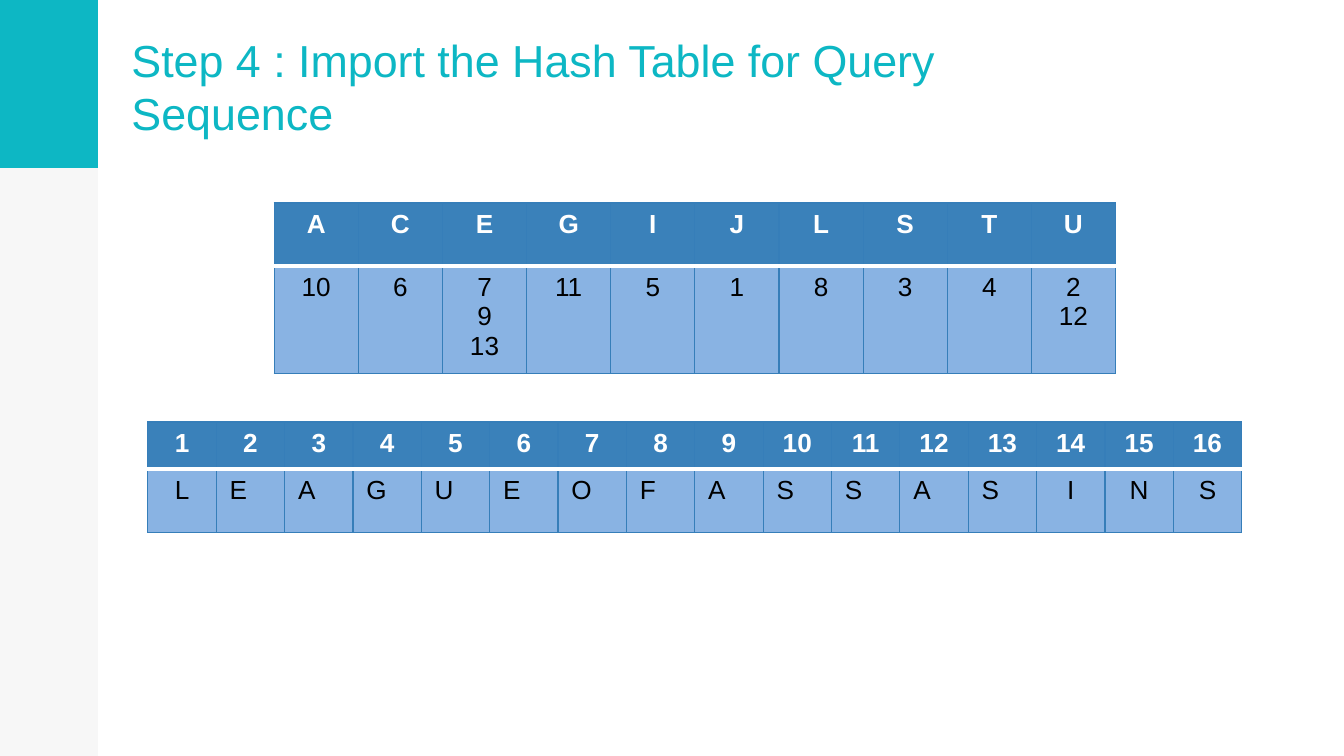
from pptx import Presentation, util as u
from pptx.dml.color import RGBColor
from pptx.enum import shapes, text
from pptx.oxml import ns
from lxml import etree

# Content
W = 10
H = W * 9 / 16
TITLE = "Step 4 : Import the Hash Table for Query Sequence"
TEAL, BLUE, PALE, EDGE = "0DB7C4", "3A81BA", "89B3E3", "367EB9"
WHITE, BLACK = "FFFFFF", "000000"
TABLES = [
    dict(at=(1.1, 3.14), width=8.14, rows=(0.35, 0.47),
         head=[str(n) for n in range(1, 17)], body=list("LEAGUEOFASSASINS"),
         left=range(1, 13)),  # columns whose body text is left aligned
    dict(at=(2.04, 1.51), width=6.26, rows=(0.47, 0.8),
         head=list("ACEGIJLSTU"),
         body=["10", "6", "7\n9\n13", "11", "5", "1", "8", "3", "4", "2\n12"],
         left=()),
]


def rgb(color):
    return RGBColor.from_string(color)


def write(tf, words, size=14, color=BLACK, bold=False, align="LEFT"):
    for i, line in enumerate(words.split("\n")):
        p = tf.paragraphs[0] if i == 0 else tf.add_paragraph()
        p.alignment = getattr(text.PP_ALIGN, align)
        r = p.add_run()
        r.text = line
        r.font.name, r.font.size, r.font.bold = "Arial", u.Pt(size), bold
        r.font.color.rgb = rgb(color)


def side_bar(height, color, alpha=None):
    sp = s.shapes.add_shape(shapes.MSO_SHAPE.RECTANGLE, 0, 0, u.Inches(0.73), u.Inches(height))
    sp.shadow.inherit = False
    sp.line.fill.background()
    sp.fill.solid()
    sp.fill.fore_color.rgb = rgb(color)
    if alpha:
        clr = sp._element.spPr.find(".//" + ns.qn("a:srgbClr"))
        etree.SubElement(clr, ns.qn("a:alpha"), val=str(alpha * 1000))


def border(cell, side, color, width):
    ln = etree.SubElement(cell._tc.get_or_add_tcPr(), ns.qn("a:ln" + side), w=str(u.Pt(width)))
    fill = etree.SubElement(ln, ns.qn("a:solidFill"))
    etree.SubElement(fill, ns.qn("a:srgbClr"), val=color)


def add_table(at, width, rows, head, body, left):
    x, y = at
    frame = s.shapes.add_table(2, len(head), u.Inches(x), u.Inches(y),
                               u.Inches(width), u.Inches(sum(rows)))
    tbl = frame.table
    tbl.first_row = tbl.horz_banding = False
    for col in tbl.columns:
        col.width = u.Inches(width / len(head))
    for i, (height, words) in enumerate(zip(rows, (head, body))):
        tbl.rows[i].height = u.Inches(height)
        is_head = i == 0
        for j, word in enumerate(words):
            cell = tbl.cell(i, j)
            # White rule between header and body, thin blue elsewhere
            for side in "LRTB":
                rule = side == ("B" if is_head else "T")
                border(cell, side, WHITE if rule else EDGE, 2 if rule else 0.75)
            cell.fill.solid()
            cell.fill.fore_color.rgb = rgb(BLUE if is_head else PALE)
            write(cell.text_frame, word, color=WHITE if is_head else BLACK, bold=is_head,
                  align="LEFT" if not is_head and j in left else "CENTER")


prs = Presentation()
prs.slide_width, prs.slide_height = u.Inches(W), u.Inches(H)
s = prs.slides.add_slide(prs.slide_layouts[6])

# Side bar
side_bar(H, BLACK, alpha=3)
side_bar(1.25, TEAL)

# Title
tf = s.shapes.add_textbox(u.Inches(0.88), u.Inches(0.56), u.Inches(7.57), u.Inches(0.58)).text_frame
tf.word_wrap = True
tf.vertical_anchor = text.MSO_ANCHOR.BOTTOM
tf.margin_left = tf.margin_right = tf.margin_top = tf.margin_bottom = u.Inches(0.1)
write(tf, TITLE, size=24, color=TEAL)

# Tables
for table in TABLES:
    add_table(**table)

prs.save("out.pptx")
